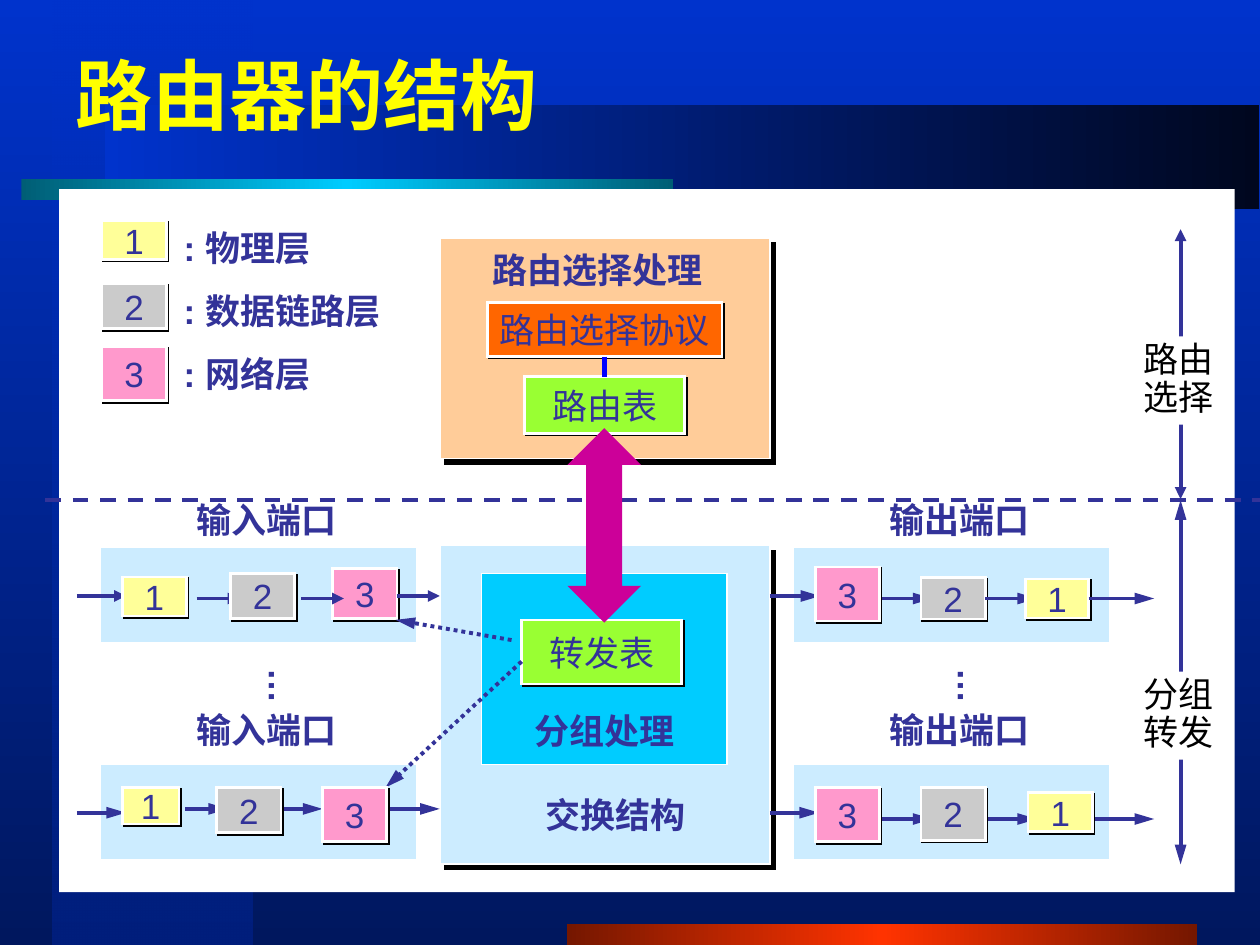
from lxml.etree import SubElement
from pptx import Presentation
from pptx.dml.color import RGBColor
from pptx.enum.dml import MSO_LINE
from pptx.enum.shapes import MSO_CONNECTOR, MSO_SHAPE
from pptx.enum.text import MSO_ANCHOR, MSO_AUTO_SIZE, PP_ALIGN
from pptx.oxml.ns import qn
from pptx.util import Inches, Pt

CELL = Inches(0.1)
COLS, ROWS = 100, 75
INK = {
    "navy": "333399", "white": "FFFFFF", "black": "000000",
    "yellow": "FFFF00", "peach": "FFCC99", "orange": "FF6600",
    "green": "99FF33", "pale": "CCECFF", "cyan": "00CCFF",
    "blue": "0000FF", "plum": "CC0099", "royal": "0033CC",
    "deep": "00175E", "dusk": "001F7D", "night": "00071F",
    "teal": "005E75", "rust": "751700", "red": "FF3300",
    "1": "FFFF99", "2": "CBCBCB", "3": "FF99CC",
}


def grid(*cells):
    return [round(cell * CELL) for cell in cells]


def hue(name):
    return RGBColor.from_string(INK[name])


def blend(item, fill, names, angle=0, alpha=None):
    fill.gradient()
    fill.gradient_angle = angle
    stops = next(item.element.iter(qn("a:gsLst")))
    stops.clear()
    for i, name in enumerate(names):
        stop = SubElement(stops, qn("a:gs"), pos=str(100000 * i // (len(names) - 1)))
        tint = SubElement(stop, qn("a:srgbClr"), val=INK[name])
        if alpha and i == 0:
            SubElement(tint, qn("a:alpha"), val=str(alpha * 1000))


def block(slide, at, fill=None, line=None, width=1, shade=0, kind=MSO_SHAPE.RECTANGLE):
    shape = slide.shapes.add_shape(kind, *grid(*at))
    shape.shadow.inherit = False
    if fill:
        shape.fill.solid()
        shape.fill.fore_color.rgb = hue(fill)
    if line:
        shape.line.color.rgb = hue(line)
        shape.line.width = Pt(width)
        SubElement(shape.element.spPr.find(qn("a:ln")), qn("a:miter"), lim="800000")
    else:
        shape.line.fill.background()
    if shade:
        effect = shape.element.spPr.find(qn("a:effectLst"))
        cast = SubElement(effect, qn("a:outerShdw"), dist=str(Pt(shade)),
                          dir="2700000", algn="ctr", rotWithShape="0")
        SubElement(cast, qn("a:srgbClr"), val=INK["black"])
    return shape


def band(slide, at, names, angle=0, alpha=None):
    shape = block(slide, at)
    blend(shape, shape.fill, names, angle, alpha)


def write(shape, text, color="navy", size=20, bold=False, face="Arial",
          align=PP_ALIGN.LEFT, space=None):
    frame = shape.text_frame
    frame.word_wrap = False
    frame.text = text
    for para in frame.paragraphs:
        para.alignment = align
        para.line_spacing = space
        para.font.name = face
        para.font.size = Pt(size)
        para.font.bold = bold
        para.font.color.rgb = hue(color)
    return frame


def label(slide, at, text, turn=0):
    shape = slide.shapes.add_textbox(*grid(*at))
    shape.rotation = turn
    write(shape, text, bold=True).auto_size = MSO_AUTO_SIZE.SHAPE_TO_FIT_TEXT


def box(slide, at, text, fill):
    shape = block(slide, at, fill, "white", 1.5, 1.4)
    frame = write(shape, text, align=PP_ALIGN.CENTER)
    frame.vertical_anchor = MSO_ANCHOR.MIDDLE
    return shape


def layer(slide, num, x, y, w, h):
    return box(slide, (x, y, w, h), num, num)


def wire(slide, start, end, color="navy", width=2.25, dash=None,
         head=None, tail=None):
    line = slide.shapes.add_connector(MSO_CONNECTOR.STRAIGHT, *grid(*start, *end))
    line.line.color.rgb = hue(color)
    line.line.width = Pt(width)
    if dash:
        line.line.dash_style = dash
    spec = line.element.spPr.find(qn("a:ln"))
    for tag, size in (("a:headEnd", head), ("a:tailEnd", tail)):
        if size:
            SubElement(spec, qn(tag), type="triangle", w="med", len=size)
    SubElement(line.element.spPr, qn("a:effectLst"))
    return line


def flows(slide, spans, size="lg"):
    for x, end, y in spans:
        wire(slide, (x, y), (end, y), tail=size)


def axis(slide, top, foot, size, y, text):
    wire(slide, (93.7, top), (93.7, foot), head=size, tail=size)
    shape = block(slide, (89.8, y, 7.9, 7), "white")
    frame = write(shape, text, "black", space=0.9)
    frame.vertical_anchor = MSO_ANCHOR.TOP


def scene(slide):
    blend(slide, slide.background.fill, ("royal", "deep"), 270)
    band(slide, (4.2, 0, 15.8, ROWS), ("royal", "dusk"), 270, 50)
    band(slide, (45, 73.3, 50, 1.7), ("rust", "red", "rust"))
    band(slide, (8.3, 8.3, 91.6, 8.3), ("royal", "night"))
    band(slide, (1.7, 14.2, 51.7, 1.7), ("teal", "cyan", "teal"))
    title = slide.shapes.add_textbox(*grid(5, 3.3, 85.7, 8.3))
    frame = write(title, "路由器的结构", "yellow", 44, True, "Times New Roman")
    frame.word_wrap = True
    frame.vertical_anchor = MSO_ANCHOR.MIDDLE
    block(slide, (4.7, 15, 93.3, 55.8), "white")


def legend(slide):
    rows = (("1", 3.1, 12.7, "物理层"), ("2", 3.6, 18.3, "数据链路层"),
            ("3", 4.3, 12.7, "网络层"))
    for i, (num, h, w, text) in enumerate(rows):
        y = 17.5 + 5 * i
        layer(slide, num, 8.1, y, 5.1, h)
        label(slide, (13.6, y, w, 4.4), f": {text}")


def routing(slide):
    block(slide, (34.9, 18.9, 26.2, 17.5), "peach", "white", 1, 4.2)
    label(slide, (38.1, 19.2, 18.7, 4.4), "路由选择处理")
    rules = box(slide, (38.7, 24, 18.6, 4.3), "路由选择协议", "orange")
    table = box(slide, (41.65, 29.9, 12.7, 4.5), "路由表", "green")
    link = wire(slide, (48, 28.3), (48, 29.9), "blue", 3)
    link.begin_connect(rules, 2)
    link.end_connect(table, 0)


def ports(slide):
    for x, name_x, dot_x, text in ((7.8, 14.6, 20, "输入端口"), (62.8, 69.6, 74.7, "输出端口")):
        for y, name_y in ((43.3, 39.1), (60.5, 55.7)):
            block(slide, (x, y, 25.4, 7.9), "pale", "white", 3)
            label(slide, (name_x, name_y, 13.1, 4.4), text)
        label(slide, (dot_x, 52.3, 4.8, 4.4), "…", 90)


def fabric(slide):
    block(slide, (34.9, 43.3, 26.2, 25.3), "pale", "white", 1, 4.2)
    label(slide, (42.3, 62.5, 13.1, 4.4), "交换结构")
    block(slide, (38.2, 45.5, 19.5, 15.2), "cyan", "white", 0.75)
    box(slide, (41.4, 49.2, 12.7, 5.1), "转发表", "green")
    label(slide, (41.4, 55.8, 13.1, 4.4), "分组处理")


def inputs(slide):
    layer(slide, "3", 26.4, 45.1, 5.1, 4)
    flows(slide, ((6.1, 10, 47.3), (15.6, 19, 47.5), (23.9, 27.3, 47.5),
                  (31.5, 34.9, 47.3)), "med")
    flows(slide, ((6.1, 10, 64.5), (14.7, 18.1, 64.2), (22.2, 25.6, 64.2),
                  (30.6, 34.9, 64.2)))
    for start, end in (((40.6, 50.8), (31.4, 49.2)), ((41.4, 52.5), (30.6, 62.5))):
        wire(slide, start, end, dash=MSO_LINE.ROUND_DOT, tail="lg")
    for spot in (("1", 9.7, 45.8, 5.1, 3.1), ("2", 18.3, 45.5, 5.1, 3.6),
                 ("1", 9.7, 62.5, 4.5, 2.9), ("2", 17.2, 62.5, 5.1, 3.6),
                 ("3", 25.6, 62.5, 5.1, 4.3)):
        layer(slide, *spot)


def outputs(slide):
    flows(slide, ((61.1, 65.1, 47.3), (69.7, 74, 47.5), (61.1, 65, 64.5),
                  (69.7, 74, 65), (78.1, 82.3, 65), (86.4, 91.6, 65)))
    for spot in (("3", 64.7, 45, 5.1, 4.3), ("3", 64.7, 62.5, 5.1, 4.3),
                 ("2", 73.1, 62.5, 5.1, 4.2), ("1", 81.6, 62.9, 5.1, 3.1)):
        layer(slide, *spot)
    for spot, end in ((("2", 73.1, 45.85, 5.1, 3.3), 82.3), (("1", 81.4, 45.95, 5, 3.1), 91.6)):
        source = layer(slide, *spot)
        wire(slide, (spot[1], 47.5), (end, 47.5), tail="lg").begin_connect(source, 3)


def main():
    deck = Presentation()
    deck.slide_width, deck.slide_height = grid(COLS, ROWS)
    slide = deck.slides.add_slide(deck.slide_layouts[6])
    scene(slide)
    legend(slide)
    routing(slide)
    ports(slide)
    fabric(slide)
    wire(slide, (3.6, 39.7), (COLS, 39.7), dash=MSO_LINE.DASH)
    axis(slide, 18.2, 39.6, "med", 26.7, "路由\n选择")
    axis(slide, 39.7, 68.6, "lg", 53.3, "分组\n转发")
    inputs(slide)
    outputs(slide)
    arrow = block(slide, (45.4, 34.2, 5.1, 15), "plum", "plum", 2.25,
                  kind=MSO_SHAPE.UP_DOWN_ARROW)
    arrow.adjustments[0] = 0.5
    arrow.adjustments[1] = 0.59
    if arrow.adjustments[0] < arrow.adjustments[1]:
        arrow.adjustments[0], arrow.adjustments[1] = 0.59, 0.5
    deck.save("out.pptx")


if __name__ == "__main__":
    main()
